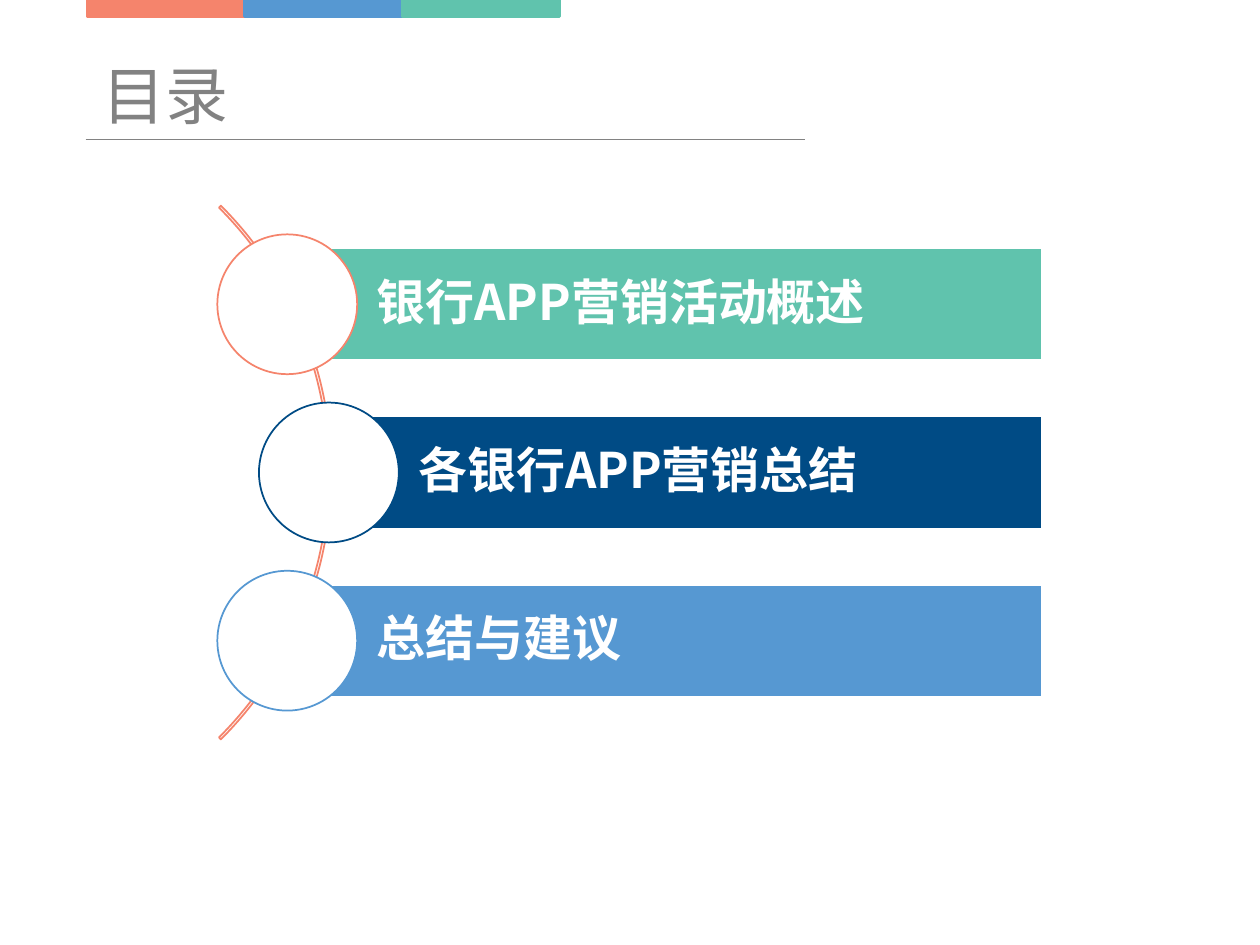
from dataclasses import dataclass

from lxml.etree import SubElement
from pptx import Presentation
from pptx.dml.color import RGBColor
from pptx.enum.shapes import MSO_CONNECTOR, MSO_SHAPE
from pptx.enum.text import MSO_ANCHOR, MSO_AUTO_SIZE, PP_ALIGN
from pptx.oxml.ns import qn
from pptx.util import Inches, Pt


@dataclass(frozen=True)
class Theme:
    font: str = "Noto Sans CJK SC"
    coral: str = "F5846C"
    blue: str = "5698D2"
    green: str = "60C3AD"
    navy: str = "004B85"
    grey: str = "828282"
    white: str = "FFFFFF"
    title_size: int = 36
    item_size: int = 28


THEME = Theme()


def add_text(tf, text, *, size, color, bold=False, anchor=MSO_ANCHOR.TOP,
             wrap=True, line_spacing=None):
    tf.word_wrap = wrap
    tf.vertical_anchor = anchor
    p = tf.paragraphs[0]
    p.alignment = PP_ALIGN.LEFT
    if line_spacing:
        p.line_spacing = line_spacing
    r = p.add_run()
    r.text = text
    r.font.size = Pt(size)
    r.font.bold = bold
    r.font.color.rgb = RGBColor.from_string(color)
    r.font.name = THEME.font
    # East Asian glyphs take their own typeface
    SubElement(r.font._element, qn("a:ea"), typeface=THEME.font)


def add_box(s, kind, x, y, w, h, *, fill, line, line_width=1):
    sp = s.shapes.add_shape(kind, Inches(x), Inches(y), Inches(w), Inches(h))
    sp.shadow.inherit = False
    if fill:
        sp.fill.solid()
        sp.fill.fore_color.rgb = RGBColor.from_string(fill)
    else:
        sp.fill.background()
    sp.line.color.rgb = RGBColor.from_string(line)
    sp.line.width = Pt(line_width)
    return sp


def add_color_strip(s, x, y, w, h):
    colors = (THEME.coral, THEME.blue, THEME.green)
    part = w / len(colors)
    for i, color in enumerate(colors):
        add_box(s, MSO_SHAPE.RECTANGLE, x + i * part, y, part, h,
                fill=color, line=color, line_width=1.5)


def add_heading(s, text, x, y, w, h):
    title = s.shapes.title
    title.left, title.top = Inches(x), Inches(y)
    title.width, title.height = Inches(w), Inches(h)
    tf = title.text_frame
    tf.auto_size = MSO_AUTO_SIZE.NONE
    add_text(tf, text, size=THEME.title_size, color=THEME.grey, wrap=False)

    # Rule under the title
    rule_y = Inches(y + h)
    rule = s.shapes.add_connector(MSO_CONNECTOR.STRAIGHT, Inches(0.68), rule_y,
                                  Inches(6.39), rule_y)
    rule.line.color.rgb = RGBColor.from_string(THEME.grey)
    rule.line.width = Pt(0.75)
    SubElement(rule._element.spPr, qn("a:effectLst"))


def add_agenda(s, items, x, y, w, h):
    """Bars spread evenly over the box, each with a circle on its left edge."""
    bar_h, circle, arc = 0.89, 1.11, 5.99
    pitch = (h - bar_h) / (len(items) - 1)

    # Arc behind the bars, from 315 to 45 degrees
    sp = add_box(s, MSO_SHAPE.BLOCK_ARC, -3.36, y + h / 2 - arc / 2, arc, arc,
                 fill=None, line=THEME.coral)
    for i, value in enumerate((189, 27, 0.0036)):
        sp.adjustments[i] = value

    for i, (text, indent, color, ring) in enumerate(items):
        left, top = x + indent, y + i * pitch
        bar = add_box(s, MSO_SHAPE.RECTANGLE, left, top, w - indent, bar_h,
                      fill=color, line=THEME.white)
        tf = bar.text_frame
        tf.margin_left = Inches(0.71)
        tf.margin_top = tf.margin_right = tf.margin_bottom = Inches(0.08)
        add_text(tf, text, size=THEME.item_size, color=THEME.white, bold=True,
                 anchor=MSO_ANCHOR.MIDDLE, line_spacing=0.9)
        add_box(s, MSO_SHAPE.OVAL, left - circle / 2,
                top + (bar_h - circle) / 2, circle, circle,
                fill=THEME.white, line=ring)


def main():
    prs = Presentation()
    prs.slide_width, prs.slide_height = Inches(10), Inches(7.5)
    s = prs.slides.add_slide(prs.slide_layouts[5])

    add_color_strip(s, 0.69, 0, 3.75, 0.13)
    add_heading(s, "目录", 0.71, 0.4, 1.21, 0.71)
    add_agenda(s, (
        ("银行APP营销活动概述", 0, THEME.green, THEME.coral),
        ("各银行APP营销总结", 0.33, THEME.navy, THEME.navy),
        ("总结与建议", 0, THEME.blue, THEME.blue),
    ), 2.28, 1.97, 5.99, 3.56)

    prs.save("out.pptx")


if __name__ == "__main__":
    main()
